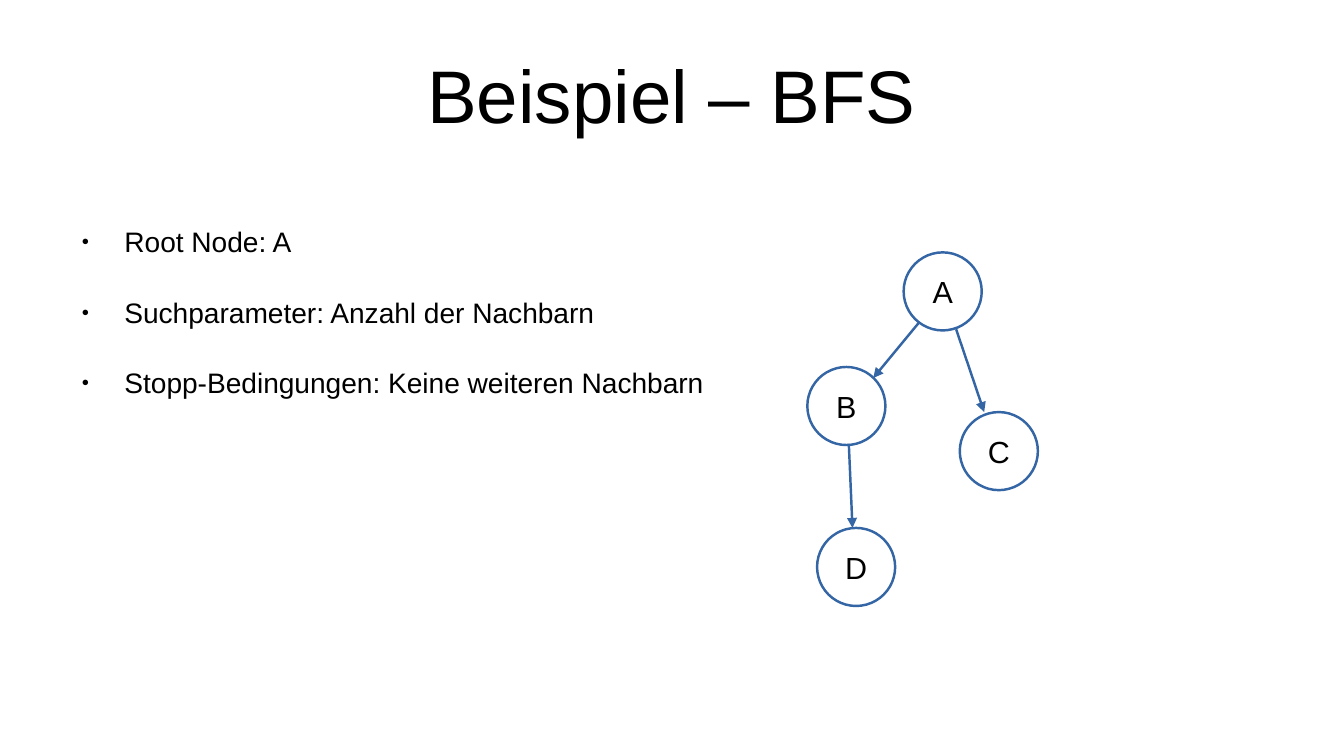
import pptx
import pptx.dml.color
import pptx.enum.shapes
import pptx.enum.text
import pptx.oxml
import pptx.oxml.ns
import pptx.util
from pptx.util import Inches

BLACK = pptx.dml.color.RGBColor(0x00, 0x00, 0x00)
WHITE = pptx.dml.color.RGBColor(0xFF, 0xFF, 0xFF)
BLUE = pptx.dml.color.RGBColor(0x34, 0x65, 0xA4)

NODE_SIZE = 0.64
NODES = {"A": (7.41, 2.07), "B": (6.62, 3.01), "C": (7.87, 3.38), "D": (6.7, 4.33)}
EDGES = [
    ((7.54, 2.64), (7.16, 3.1)),
    ((7.84, 2.7), (8.07, 3.38)),
    ((6.96, 3.64), (6.99, 4.33)),
]
BULLETS = [
    "Root Node: A",
    "Suchparameter: Anzahl der Nachbarn",
    "Stopp-Bedingungen: Keine weiteren Nachbarn",
]


class GraphSlide:
    """Holds the style and the current slide."""

    font = "Arial"
    line_width = pptx.util.Pt(1.45)

    def __init__(self, presentation):
        self.slide = presentation.slides.add_slide(presentation.slide_layouts[1])

    def add_text(self, paragraph, text, size):
        run = paragraph.add_run()
        run.text = text
        run.font.name = self.font
        run.font.size = pptx.util.Pt(size)
        run.font.color.rgb = BLACK

    def frame(self, shape, anchor, side=0, top=0):
        text_frame = shape.text_frame
        text_frame.word_wrap = True
        text_frame.auto_size = pptx.enum.text.MSO_AUTO_SIZE.NONE
        text_frame.vertical_anchor = anchor
        text_frame.margin_left = text_frame.margin_right = Inches(side)
        text_frame.margin_top = text_frame.margin_bottom = Inches(top)
        return text_frame

    def place(self, shape, left, top, width, height):
        shape.left, shape.top = Inches(left), Inches(top)
        shape.width, shape.height = Inches(width), Inches(height)

    def title(self, text):
        shape = self.slide.shapes.title
        self.place(shape, 0.55, 0.25, 9.92, 1.04)
        paragraph = self.frame(shape, pptx.enum.text.MSO_ANCHOR.MIDDLE).paragraphs[0]
        paragraph.alignment = pptx.enum.text.PP_ALIGN.CENTER
        self.add_text(paragraph, text, 44)

    def bullets(self, items):
        shape = self.slide.placeholders[1]
        self.place(shape, 0.55, 1.84, 9.92, 1.6)
        text_frame = self.frame(shape, pptx.enum.text.MSO_ANCHOR.TOP)
        for index, item in enumerate(items):
            paragraph = text_frame.add_paragraph() if index else text_frame.paragraphs[0]
            paragraph.alignment = pptx.enum.text.PP_ALIGN.LEFT
            paragraph.space_before = pptx.util.Pt(11.9 if index else 0)
            paragraph.space_after = pptx.util.Pt(9.9)
            self.bullet(paragraph)
            self.add_text(paragraph, item, 16.6)

    def bullet(self, paragraph):
        properties = paragraph._p.get_or_add_pPr()
        properties.set("marL", str(Inches(0.47)))
        properties.set("indent", str(Inches(-0.35)))
        namespace = pptx.oxml.ns.nsdecls("a")
        for xml in (
            f'<a:buClr {namespace}><a:srgbClr val="{BLACK}"/></a:buClr>',
            f'<a:buSzPct {namespace} val="45000"/>',
            f'<a:buFont {namespace} typeface="{self.font}"/>',
            f'<a:buChar {namespace} char="●"/>',
        ):
            properties.append(pptx.oxml.parse_xml(xml))

    def node(self, label, left, top):
        shape = self.slide.shapes.add_shape(
            pptx.enum.shapes.MSO_SHAPE.OVAL,
            Inches(left), Inches(top), Inches(NODE_SIZE), Inches(NODE_SIZE),
        )
        shape.shadow.inherit = False
        shape.fill.solid()
        shape.fill.fore_color.rgb = WHITE
        shape.line.color.rgb = BLUE
        shape.line.width = self.line_width
        text_frame = self.frame(shape, pptx.enum.text.MSO_ANCHOR.MIDDLE, 0.11, 0.06)
        paragraph = text_frame.paragraphs[0]
        paragraph.alignment = pptx.enum.text.PP_ALIGN.CENTER
        self.add_text(paragraph, label, 18)

    def arrow(self, start, end):
        connector = self.slide.shapes.add_connector(
            pptx.enum.shapes.MSO_CONNECTOR.STRAIGHT,
            *(Inches(value) for value in start + end),
        )
        connector.line.color.rgb = BLUE
        connector.line.width = self.line_width
        namespace = pptx.oxml.ns.nsdecls("a")
        connector.line._get_or_add_ln().append(
            pptx.oxml.parse_xml(f'<a:tailEnd {namespace} type="triangle"/>'))
        connector._element.spPr.append(
            pptx.oxml.parse_xml(f"<a:effectLst {namespace}/>"))


def main():
    presentation = pptx.Presentation()
    presentation.slide_width = Inches(11.02)
    presentation.slide_height = Inches(6.2)
    graph_slide = GraphSlide(presentation)

    # Title and search settings
    graph_slide.title("Beispiel – BFS")
    graph_slide.bullets(BULLETS)

    # Search tree
    for label, (left, top) in NODES.items():
        graph_slide.node(label, left, top)
    for start, end in EDGES:
        graph_slide.arrow(start, end)

    presentation.save("out.pptx")


if __name__ == "__main__":
    main()
